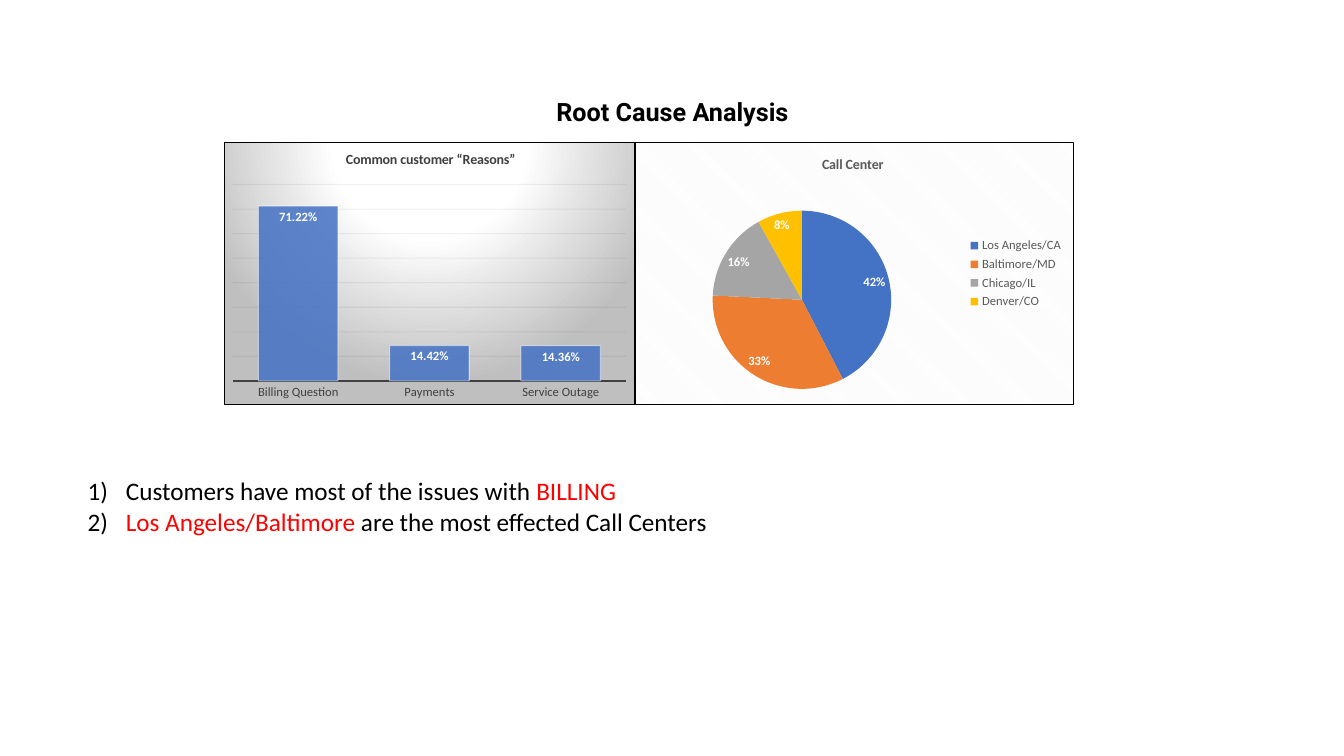
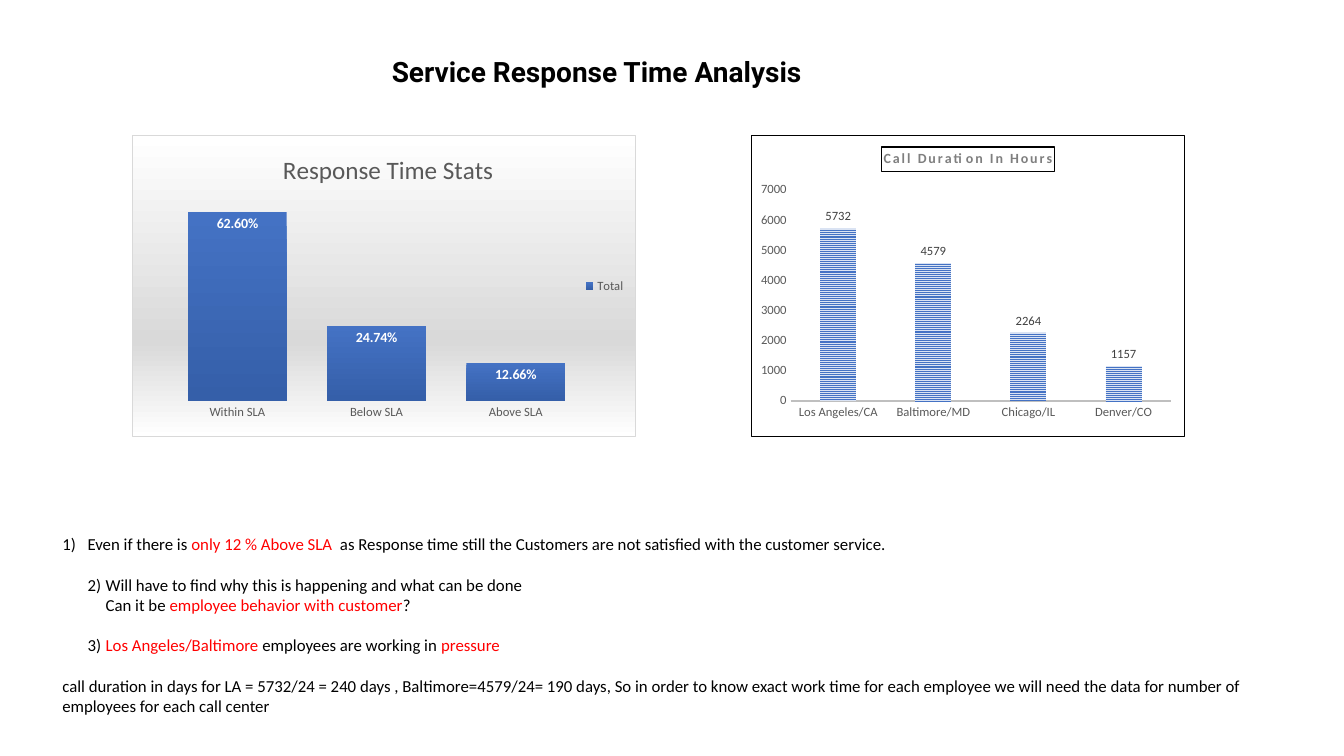
from lxml.etree import SubElement
from pptx import Presentation
from pptx.chart.data import CategoryChartData
from pptx.dml.color import RGBColor
from pptx.enum.chart import (XL_CHART_TYPE, XL_LABEL_POSITION,
                             XL_LEGEND_POSITION, XL_TICK_MARK)
from pptx.enum.text import MSO_ANCHOR, PP_ALIGN
from pptx.oxml import parse_xml
from pptx.oxml.ns import nsdecls, qn
from pptx.util import Inches, Pt

BLACK = RGBColor(0x00, 0x00, 0x00)
WHITE = RGBColor(0xFF, 0xFF, 0xFF)
RED = RGBColor(0xFF, 0x00, 0x00)
BLUE = RGBColor(0x44, 0x72, 0xC4)
DEEP_BLUE = RGBColor(0x35, 0x5F, 0xA9)
PALE_BLUE = RGBColor(0xDA, 0xE3, 0xF3)
ORANGE = RGBColor(0xED, 0x7D, 0x31)
GRAY = RGBColor(0xA5, 0xA5, 0xA5)
GOLD = RGBColor(0xFF, 0xC0, 0x00)
INK = RGBColor(0x40, 0x40, 0x40)
SLATE = RGBColor(0x59, 0x59, 0x59)
MID_GRAY = RGBColor(0x7F, 0x7F, 0x7F)
SILVER = RGBColor(0xBF, 0xBF, 0xBF)
LIGHT_GRAY = RGBColor(0xD9, 0xD9, 0xD9)
PALE_GRAY = RGBColor(0xF2, 0xF2, 0xF2)
GRID = RGBColor(0x0D, 0x0D, 0x0D)

TITLE_FONT = "Roboto"
BODY_FONT = "Calibri"
CENTERS = ["Los Angeles/CA", "Baltimore/MD", "Chicago/IL", "Denver/CO"]
DOWNWARD = '<a:lin ang="5400000" scaled="0"/>'
SPOTLIGHT = ('<a:path path="circle"><a:fillToRect l="50000" t="-80000" '
             'r="50000" b="180000"/></a:path>')


# Formatting
def set_format(target, values):
    for name, value in values.items():
        setattr(target, name, value)


def set_font(font, size, color, bold=False, name=BODY_FONT):
    set_format(font, {"size": Pt(size), "bold": bold, "name": name})
    font.color.rgb = color


def set_line(line, color, width):
    line.color.rgb = color
    line.width = Pt(width)


def fade(element, percent):
    for color in element.iter(qn("a:srgbClr")):
        SubElement(color, qn("a:alpha"), val=str(percent * 1000))


def gradient(stops, direction):
    marks = "".join(f'<a:gs pos="{position * 1000}"><a:srgbClr val="{color}"/></a:gs>'
                    for position, color in stops)
    return parse_xml(f'<a:gradFill {nsdecls("a")} rotWithShape="1">'
                     f'<a:gsLst>{marks}</a:gsLst>{direction}</a:gradFill>')


def pattern(preset, front, back):
    return parse_xml(f'<a:pattFill {nsdecls("a")} prst="{preset}">'
                     f'<a:fgClr><a:srgbClr val="{front}"/></a:fgClr>'
                     f'<a:bgClr><a:srgbClr val="{back}"/></a:bgClr></a:pattFill>')


# Text
def add_title(slide, left, top, text, size):
    box = slide.shapes.add_textbox(Inches(left), Inches(top), Inches(11.5), Inches(1.45))
    set_format(box.text_frame, {"word_wrap": True, "vertical_anchor": MSO_ANCHOR.MIDDLE})
    paragraph = box.text_frame.paragraphs[0]
    set_format(paragraph, {"alignment": PP_ALIGN.CENTER, "line_spacing": 0.9})
    run = paragraph.add_run()
    run.text = text
    set_font(run.font, size, BLACK, True, TITLE_FONT)


def number_paragraph(paragraph, number, left, hang):
    properties = paragraph._p.get_or_add_pPr()
    properties.set("marL", str(Inches(left)))
    properties.set("indent", str(-Inches(hang)))
    bullet_color = SubElement(properties, qn("a:buClr"))
    SubElement(bullet_color, qn("a:srgbClr"), val=str(BLACK))
    SubElement(properties, qn("a:buFont"), typeface=BODY_FONT)
    SubElement(properties, qn("a:buAutoNum"), type="arabicParenR", startAt=str(number))


def add_findings(slide, place, size, gap, findings):
    """Each finding is (numbering or None, lines); a line lists (text, color)."""
    box = slide.shapes.add_textbox(*map(Inches, place))
    frame = box.text_frame
    frame.word_wrap = True
    for index, (numbering, lines) in enumerate(findings):
        paragraph = frame.add_paragraph() if index else frame.paragraphs[0]
        if index and gap:
            paragraph.space_before = Pt(gap)
        if numbering:
            number_paragraph(paragraph, *numbering)
        for line_index, line in enumerate(lines):
            if line_index:
                paragraph.add_line_break()
            for text, color in line:
                run = paragraph.add_run()
                run.text = text
                set_font(run.font, size, color)


# Charts
def add_chart(slide, kind, place, categories, name, values, number_format):
    data = CategoryChartData(number_format=number_format)
    data.categories = categories
    data.add_series(name, values)
    chart = slide.shapes.add_chart(kind, *map(Inches, place), data).chart
    set_font(chart.font, 10, BLACK)
    chart.has_legend = False
    return chart


def manual_layout(target, **sizes):
    values = "".join(f'<c:{key} val="{value}"/>' for key, value in sizes.items())
    return parse_xml(f'<c:layout {nsdecls("c")}><c:manualLayout>{target}'
                     f'<c:xMode val="edge"/><c:yMode val="edge"/>{values}'
                     f'</c:manualLayout></c:layout>')


def drop_layout(element):
    for layout in element.findall(qn("c:layout")):
        element.remove(layout)


def set_chart_title(chart, text, size, color, bold=True, corner=None):
    chart.has_title = True
    run = chart.chart_title.text_frame.paragraphs[0].add_run()
    run.text = text
    set_font(run.font, size, color, bold)
    if corner:
        title = chart.chart_title._element
        drop_layout(title)
        title.find(qn("c:tx")).addnext(manual_layout("", x=corner[0], y=corner[1]))
    return run


def set_chart_area(chart, border, fill=None):
    area = parse_xml(f'<c:spPr {nsdecls("c", "a")}><a:ln w="{Pt(0.75)}"><a:solidFill>'
                     f'<a:srgbClr val="{border}"/></a:solidFill></a:ln></c:spPr>')
    area.insert(0, parse_xml(f'<a:noFill {nsdecls("a")}/>') if fill is None else fill)
    chart._chartSpace.find(qn("c:chart")).addnext(area)


def place_plot(chart, x, y, w, h):
    plot_area = chart._chartSpace.find(".//" + qn("c:plotArea"))
    drop_layout(plot_area)
    plot_area.insert(0, manual_layout('<c:layoutTarget val="inner"/>', x=x, y=y, w=w, h=h))


def set_labels(plot, size, color, bold, position, number_format):
    plot.has_data_labels = True
    labels = plot.data_labels
    set_font(labels.font, size, color, bold)
    set_format(labels, {"number_format": number_format,
                        "number_format_is_linked": False, "position": position})
    return labels


def set_legend(chart):
    chart.has_legend = True
    set_format(chart.legend, {"position": XL_LEGEND_POSITION.RIGHT,
                              "include_in_layout": False})
    set_font(chart.legend.font, 9, SLATE)


def set_columns(chart, gap, overlap, maximum, step, axis_color):
    plot = chart.plots[0]
    set_format(plot, {"gap_width": gap, "overlap": overlap, "vary_by_categories": False})
    set_format(chart.value_axis, {"minimum_scale": 0, "maximum_scale": maximum,
                                  "major_unit": step, "has_major_gridlines": False})
    for axis in (chart.category_axis, chart.value_axis):
        set_format(axis, {"major_tick_mark": XL_TICK_MARK.NONE,
                          "minor_tick_mark": XL_TICK_MARK.NONE})
        set_font(axis.tick_labels.font, 9, axis_color)
        axis.format.line.fill.background()
    return plot, plot.series[0]


def fill_columns(series, fill):
    series._element.get_or_add_spPr().insert(0, fill)


def add_reasons_chart(slide):
    chart = add_chart(slide, XL_CHART_TYPE.COLUMN_CLUSTERED, (2.22, 1.41, 4.08, 2.61),
                      ["Billing Question", "Payments", "Service Outage"],
                      "Series 1", (0.7122, 0.1442, 0.1436), "0.00%")
    set_chart_title(chart, "Common customer “Reasons”", 10, INK, corner=(0.29, 0.02))
    plot, reasons = set_columns(chart, 65, 0, 0.8, 0.1, INK)
    set_line(chart.category_axis.format.line, INK, 1.5)
    axis = chart.value_axis
    set_format(axis, {"visible": False, "has_major_gridlines": True})
    set_line(axis.major_gridlines.format.line, GRID, 0.75)
    fade(axis._element.find(qn("c:majorGridlines")), 5)
    reasons.format.fill.solid()
    reasons.format.fill.fore_color.rgb = BLUE
    set_line(reasons.format.line, WHITE, 0.75)
    area = reasons._element.get_or_add_spPr()
    fade(area.find(qn("a:solidFill")), 85)
    fade(area.find(qn("a:ln")), 50)
    set_labels(plot, 9, WHITE, True, XL_LABEL_POSITION.INSIDE_END, "0.00%")
    set_chart_area(chart, BLACK,
                   gradient([(0, WHITE), (39, WHITE), (100, SILVER)], SPOTLIGHT))
    place_plot(chart, 0.02, 0.16, 0.96, 0.75)


def add_center_chart(slide):
    chart = add_chart(slide, XL_CHART_TYPE.PIE, (6.3, 1.41, 4.35, 2.61), CENTERS,
                      "Series 1", (42, 33, 16, 8), "0")
    set_chart_title(chart, "Call Center", 10, SLATE, corner=(0.42, 0.04))
    set_legend(chart)
    plot = chart.plots[0]
    plot.vary_by_categories = True
    for index, color in enumerate((BLUE, ORANGE, GRAY, GOLD)):
        wedge = plot.series[0].points[index].format
        wedge.fill.solid()
        wedge.fill.fore_color.rgb = color
        wedge.line.fill.background()
    labels = set_labels(plot, 9, WHITE, True, XL_LABEL_POSITION.BEST_FIT, "0%")
    set_format(labels, {"show_percentage": True, "show_value": False})
    set_chart_area(chart, BLACK, pattern("dkDnDiag", PALE_GRAY, WHITE))
    place_plot(chart, 0.17, 0.26, 0.42, 0.68)


def add_response_chart(slide):
    chart = add_chart(slide, XL_CHART_TYPE.COLUMN_CLUSTERED, (1.31, 1.34, 5, 3),
                      ["Within SLA", "Below SLA", "Above SLA"],
                      "Total", (0.626, 0.2474, 0.1266), "0.00%")
    set_chart_title(chart, "Response Time Stats", 18, SLATE, False, (0.29, 0.04))
    set_legend(chart)
    plot, response = set_columns(chart, 41, 0, 0.7, 0.1, SLATE)
    chart.value_axis.visible = False
    fill_columns(response, gradient([(0, BLUE), (100, DEEP_BLUE)], DOWNWARD))
    set_labels(plot, 10, WHITE, True, XL_LABEL_POSITION.INSIDE_END, "0.00%")
    set_chart_area(chart, LIGHT_GRAY,
                   gradient([(0, WHITE), (68, LIGHT_GRAY), (100, WHITE)], DOWNWARD))
    place_plot(chart, 0.07, 0.18, 0.83, 0.7)


def add_duration_chart(slide):
    chart = add_chart(slide, XL_CHART_TYPE.COLUMN_CLUSTERED, (7.45, 1.34, 4.3, 3),
                      CENTERS, "Series 1", (5732, 4579, 2264, 1157), "0")
    heading = set_chart_title(chart, "Call Duration In Hours", 10, MID_GRAY)
    heading.font._element.set("spc", "150")
    set_line(chart.chart_title.format.line, BLACK, 0.75)
    plot, duration = set_columns(chart, 164, -22, 7000, 1000, SLATE)
    set_line(chart.category_axis.format.line, SILVER, 1.5)
    fill_columns(duration, pattern("narHorz", BLUE, PALE_BLUE))
    set_labels(plot, 9, INK, False, XL_LABEL_POSITION.OUTSIDE_END, "0")
    set_chart_area(chart, BLACK)
    place_plot(chart, 0.09, 0.18, 0.88, 0.7)


# Slides
def build_root_cause(slide):
    add_title(slide, 0.92, 0.4, "Root Cause Analysis", 18)
    add_reasons_chart(slide)
    add_center_chart(slide)
    add_findings(slide, (0.77, 4.67, 9.01, 0.71), 18, 0, [
        ((1, 0.38, 0.38), [[("Customers have most of the issues with ", BLACK),
                            ("BILLING", RED)]]),
        ((2, 0.38, 0.38), [[("Los Angeles/Baltimore ", RED),
                            ("are the most effected Call Centers", BLACK)]]),
    ])


def build_response_time(slide):
    add_title(slide, 0.17, 0, "Service Response Time Analysis", 20)
    add_response_chart(slide)
    add_duration_chart(slide)
    add_findings(slide, (0.52, 5.25, 12.4, 2.12), 12, 14.4, [
        ((1, 0.25, 0.25), [[("Even if there is ", BLACK), ("only 12 % Above SLA ", RED),
                            (" as Response time still the Customers are not satisfied "
                             "with the customer service.", BLACK)]]),
        ((2, 0.43, 0.18), [[("Will have to find why this is happening and what can be "
                             "done", BLACK)],
                           [("Can it be ", BLACK),
                            ("employee behavior with customer", RED), ("?", BLACK)]]),
        ((3, 0.43, 0.18), [[("Los Angeles/Baltimore", RED),
                            (" employees are working in ", BLACK), ("pressure", RED)]]),
        (None, [[("call duration in days for LA = 5732/24 = 240 days , "
                  "Baltimore=4579/24= 190 days, So in order to know exact work time for "
                  "each employee we will need the data for number of employees for each "
                  "call center", BLACK)]]),
    ])


def main():
    deck = Presentation()
    set_format(deck, {"slide_width": Inches(13.33), "slide_height": Inches(7.5)})
    for build in (build_root_cause, build_response_time):
        build(deck.slides.add_slide(deck.slide_layouts[6]))
    deck.save("out.pptx")


if __name__ == "__main__":
    main()
